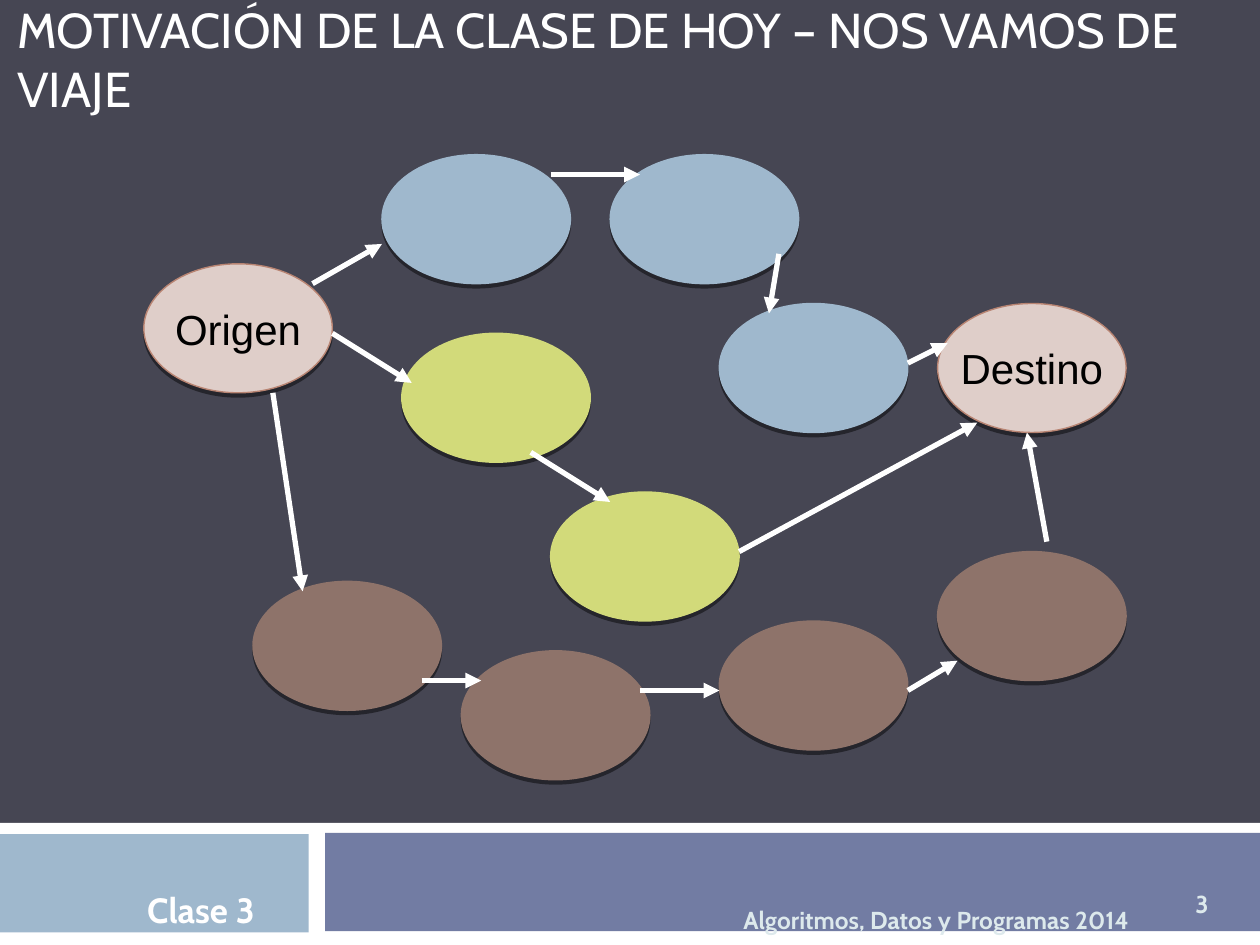
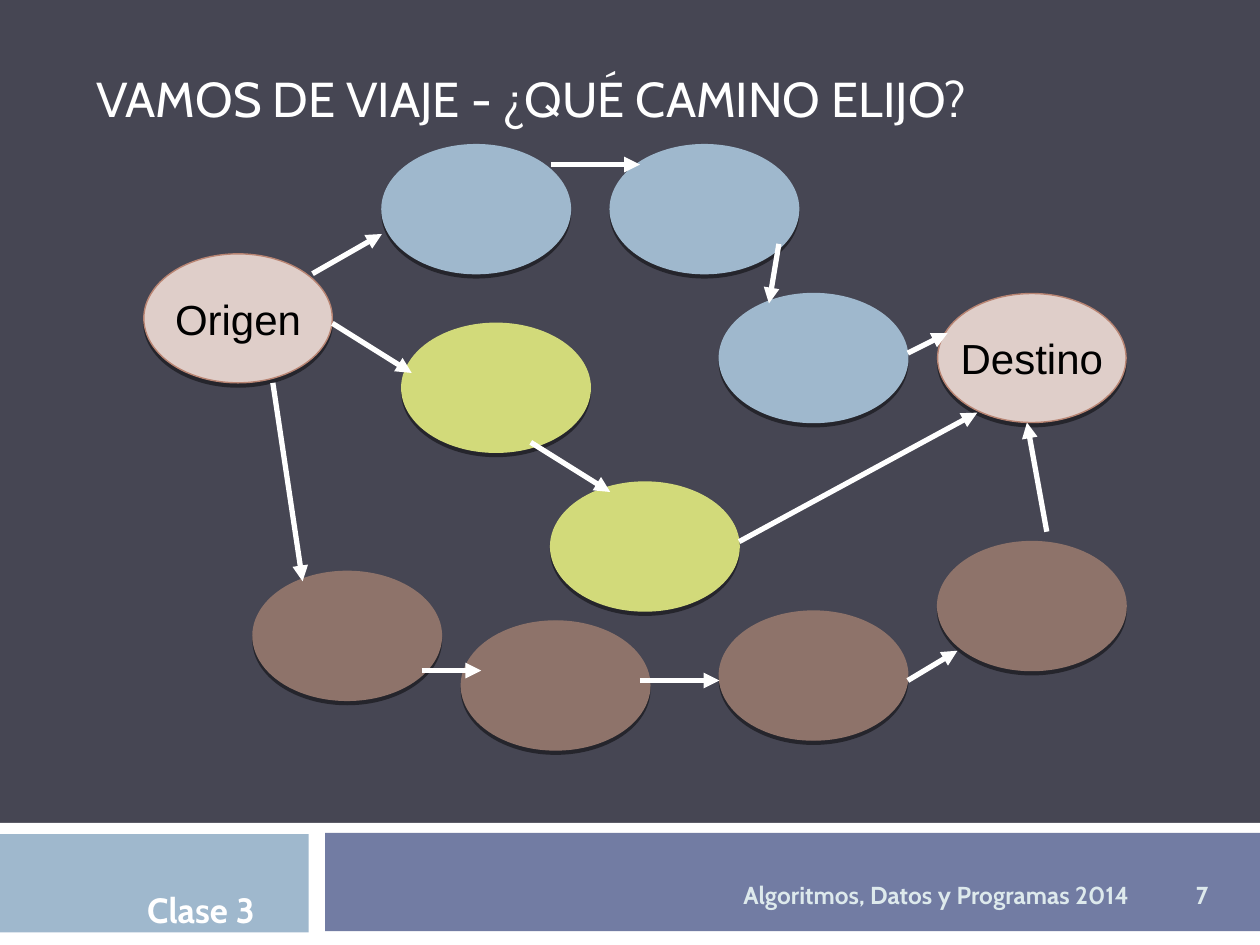
from dataclasses import dataclass
from typing import NamedTuple

from lxml.etree import SubElement
from pptx import Presentation
from pptx.dml.color import RGBColor
from pptx.enum.shapes import MSO_CONNECTOR as Connector, MSO_SHAPE as Preset
from pptx.enum.text import MSO_ANCHOR as Anchor, PP_ALIGN as Align
from pptx.oxml.ns import qn
from pptx.util import Pt


@dataclass(frozen=True)
class Theme:
    background: str = "464653"
    white: str = "FFFFFF"
    black: str = "000000"
    blue: str = "9FB8CD"
    indigo: str = "727CA3"
    pale: str = "DDE9EC"
    rose: str = "DFCEC9"
    rose_edge: str = "B88472"
    lime: str = "D2DA7A"
    brown: str = "8E736A"
    heading_font: str = "Cabin"
    label_font: str = "Arial"
    title_size: float = 28
    label_size: float = 24
    lesson_size: float = 20
    footer_size: float = 14


THEME = Theme()


class Area(NamedTuple):
    left: float
    top: float
    width: float
    height: float

    def lengths(self) -> list:
        return [Pt(value) for value in self]


class Style(NamedTuple):
    size: float
    color: str
    font: str = THEME.heading_font
    bold: bool = False


class Band(NamedTuple):
    area: Area
    color: str


class City(NamedTuple):
    column: float
    row: float
    fill: str
    edge: str
    label: str = ""


class Road(NamedTuple):
    start: tuple[float, float]
    end: tuple[float, float]


class TripPage(NamedTuple):
    title: str
    title_area: Area
    number: str
    course_top: float
    number_top: float
    map_top: float
    low_city_row: float  # grid row of the second brown city


TITLE_STYLE = Style(THEME.title_size, THEME.white)
LESSON_STYLE = Style(THEME.lesson_size, THEME.white, bold=True)
FOOTER_STYLE = Style(THEME.footer_size, THEME.pale, bold=True)
LABEL_STYLE = Style(THEME.label_size, THEME.black, THEME.label_font)

BANDS = [
    Band(Area(0, 470.2, 720, 69.8), THEME.white),
    Band(Area(-0.7, 476.6, 177.1, 56.2), THEME.blue),
    Band(Area(185.8, 475.9, 534.2, 56.2), THEME.indigo),
]

# The map lies on a square grid; cities and roads are given in grid steps
STEP = 5.67
MAP_LEFT = 82.2
CITY_WIDTH, CITY_HEIGHT = 19 * STEP, 13 * STEP

ROADS = [
    # Blue route
    Road((17, 13), (24, 9)),
    Road((41, 2), (50, 2)),
    Road((64, 10), (63, 16)),
    Road((77, 21), (81, 19)),
    # Lime route
    Road((19, 18), (27, 23)),
    Road((39, 30), (47, 35)),
    Road((60, 40), (84, 27)),
    # Brown route
    Road((13, 24), (16, 44)),
    Road((28, 53), (34, 53)),
    Road((50, 54), (58, 54)),
    Road((77, 54), (82, 51)),
    Road((91, 39), (89, 28)),
]

PAGES = [
    TripPage("MOTIVACIÓN DE LA CLASE DE HOY – NOS VAMOS DE VIAJE",
             Area(2.9, -2.2, 717.1, 70.6), "3", 511.2, 501.1, 88.4, 50),
    TripPage("VAMOS DE VIAJE - ¿QUÉ CAMINO ELIJO?",
             Area(48.2, 25.9, 595.4, 48.2), "7", 496.8, 496.1, 82.7, 48),
]


def cities(low_city_row: float) -> list[City]:
    routes = {
        THEME.blue: [(24, 0), (47, 0), (58, 15)],
        THEME.lime: [(26, 18), (41, 34)],
        THEME.brown: [(11, 43), (32, low_city_row), (58, 47), (80, 40)],
    }
    stops = [City(*spot, color, color)
             for color, spots in routes.items() for spot in spots]
    return [City(0, 11, THEME.rose, THEME.rose_edge, "Origen"),
            City(80, 15, THEME.rose, THEME.rose_edge, "Destino"), *stops]


def rgb(color: str) -> RGBColor:
    return RGBColor.from_string(color)


def write(frame, text: str, style: Style, align: Align, anchor: Anchor,
          wrap: bool = True) -> None:
    frame.word_wrap = wrap
    frame.vertical_anchor = anchor
    frame.margin_left = frame.margin_right = Pt(7.2)
    frame.margin_top = frame.margin_bottom = Pt(3.6)
    para = frame.paragraphs[0]
    para.alignment = align
    span = para.add_run()
    span.text = text
    span.font.name = style.font
    span.font.size = Pt(style.size)
    span.font.bold = style.bold
    span.font.color.rgb = rgb(style.color)


def add_text(page, area: Area, text: str, style: Style, align: Align,
             anchor: Anchor = Anchor.MIDDLE):
    box = page.shapes.add_textbox(*area.lengths())
    write(box.text_frame, text, style, align, anchor)
    return box


def add_band(page, band: Band) -> None:
    shape = page.shapes.add_shape(Preset.RECTANGLE, *band.area.lengths())
    shape.shadow.inherit = False
    shape.fill.solid()
    shape.fill.fore_color.rgb = rgb(band.color)
    shape.line.fill.background()


def add_drop_shadow(shape) -> None:
    shape.shadow.inherit = False
    effects = shape._element.spPr.find(qn("a:effectLst"))
    shadow = SubElement(effects, qn("a:outerShdw"), blurRad="0",
                        dist=str(Pt(2.4)), dir="5400000", rotWithShape="0")
    color = SubElement(shadow, qn("a:srgbClr"), val=THEME.black)
    SubElement(color, qn("a:alpha"), val="45000")


def add_city(page, city: City, map_top: float) -> None:
    area = Area(MAP_LEFT + city.column * STEP, map_top + city.row * STEP,
                CITY_WIDTH, CITY_HEIGHT)
    oval = page.shapes.add_shape(Preset.OVAL, *area.lengths())
    oval.fill.solid()
    oval.fill.fore_color.rgb = rgb(city.fill)
    oval.line.color.rgb = rgb(city.edge)
    oval.line.width = Pt(0.79)
    add_drop_shadow(oval)
    if city.label:
        write(oval.text_frame, city.label, LABEL_STYLE, Align.CENTER,
              Anchor.MIDDLE, wrap=False)


def add_road(page, road: Road, map_top: float) -> None:
    ends = [Pt(length) for column, row in road
            for length in (MAP_LEFT + column * STEP, map_top + row * STEP)]
    arrow = page.shapes.add_connector(Connector.STRAIGHT, *ends)
    arrow.line.color.rgb = rgb(THEME.white)
    arrow.line.width = Pt(3)
    SubElement(arrow.line._get_or_add_ln(), qn("a:tailEnd"), type="triangle")
    SubElement(arrow._element.spPr, qn("a:effectLst"))


def add_page(deck, trip: TripPage) -> None:
    page = deck.slides.add_slide(deck.slide_layouts[6])
    page.background.fill.solid()
    page.background.fill.fore_color.rgb = rgb(THEME.background)

    # Bands and title
    for band in BANDS:
        add_band(page, band)
    title = add_text(page, trip.title_area, trip.title, TITLE_STYLE,
                     Align.LEFT, Anchor.BOTTOM)
    title.text_frame.margin_bottom = Pt(1.4)

    # Footer
    add_text(page, Area(31, 505.4, 167.8, 28.8), "Clase 3", LESSON_STYLE,
             Align.CENTER)
    add_text(page, Area(190.1, trip.course_top, 462.2, 28.8),
             "Algoritmos, Datos y Programas 2014", FOOTER_STYLE, Align.RIGHT)
    add_text(page, Area(653.8, trip.number_top, 66.2, 30.2), trip.number,
             FOOTER_STYLE, Align.CENTER)

    # Map of the trip
    for city in cities(trip.low_city_row):
        add_city(page, city, trip.map_top)
    for road in ROADS:
        add_road(page, road, trip.map_top)


def main() -> None:
    deck = Presentation()
    deck.slide_width, deck.slide_height = Pt(720), Pt(540)
    for trip in PAGES:
        add_page(deck, trip)
    deck.save("out.pptx")


if __name__ == "__main__":
    main()
